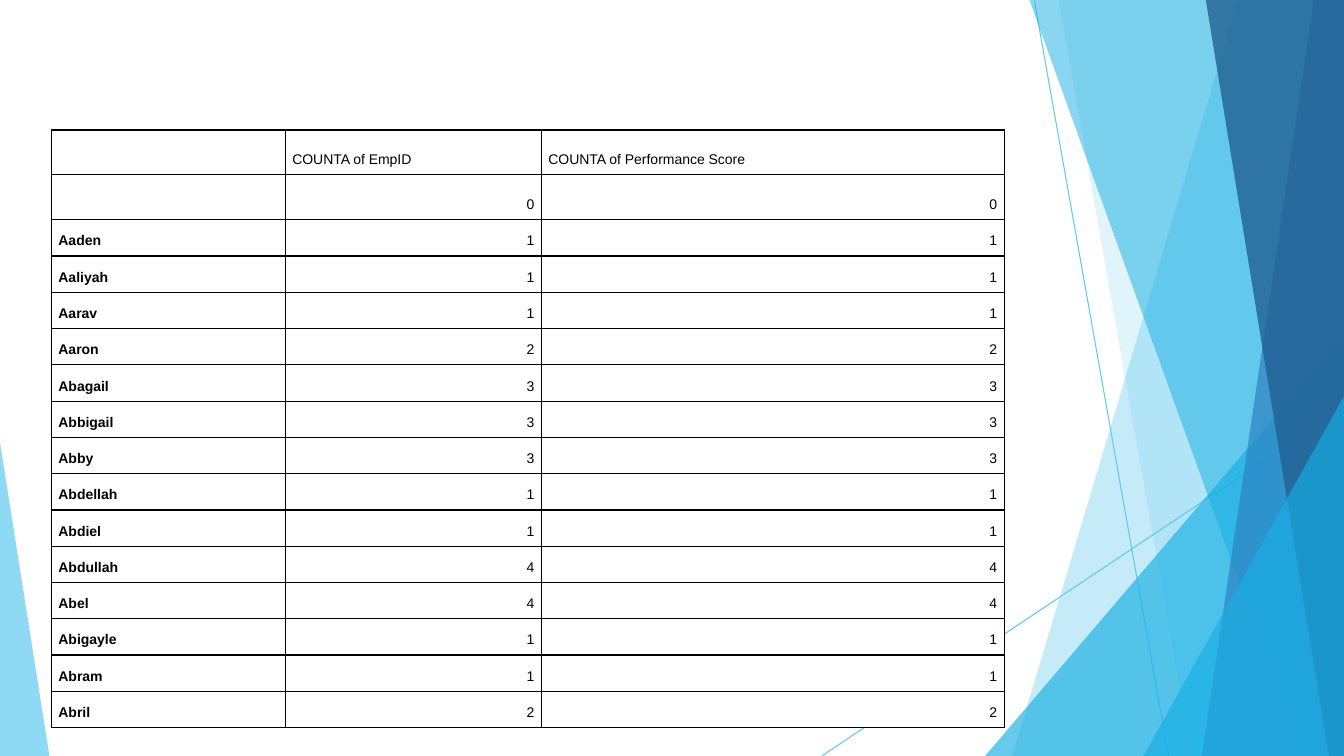
"""Build a slide with a table of name counts over faceted blue panes."""
from dataclasses import dataclass

from lxml.etree import SubElement as Sub
from pptx import Presentation
from pptx.dml.color import RGBColor
from pptx.enum.shapes import MSO_CONNECTOR as Conn
from pptx.enum.text import MSO_ANCHOR as Anchor, PP_ALIGN as Align
from pptx.oxml.ns import qn
from pptx.slide import Slide
from pptx.table import _Cell as Cell
from pptx.util import Inches, Pt

WIDE, HIGH = 13.33, 7.5
SKY, CYAN, BLUE, NAVY = "5FCAEE", "17AFE3", "2D83C3", "226192"
BLACK, WHITE = "000000", "FFFFFF"
Point = tuple[float, float]


@dataclass
class Pane:
    points: list[Point]
    color: str
    alpha: int


@dataclass
class Ray:
    start: Point
    end: Point


@dataclass
class Entry:
    name: str
    count: int


def right(*edge: Point) -> list[Point]:
    """Close an edge along the right side of the slide."""
    return [*edge, (WIDE, HIGH), (WIDE, edge[0][1])]


RAYS = [Ray((10.26, 0.01), (11.59, HIGH)), Ray((WIDE, 4.04), (8.15, HIGH))]
PANES = [
    Pane(right((12.28, 0), (10.04, HIGH)), SKY, 36),
    Pane(right((10.5, 0), (11.82, HIGH)), SKY, 20),
    Pane(right((WIDE, 3.33), (9.77, HIGH)), CYAN, 65),
    Pane(right((10.21, 0), (12.91, HIGH)), CYAN, 50),
    Pane(right((13.03, 0), (11.92, HIGH)), BLUE, 70),
    Pane(right((11.96, 0), (13.18, HIGH)), NAVY, 80),
    Pane(right((WIDE, 3.93), (11.34, HIGH)), CYAN, 65),
    Pane([(0, 4.39), (0, HIGH), (0.49, HIGH)], SKY, 70),
]
HEADS = ["", "COUNTA of EmpID", "COUNTA of Performance Score"]
ENTRIES = [
    Entry("", 0), Entry("Aaden", 1), Entry("Aaliyah", 1), Entry("Aarav", 1),
    Entry("Aaron", 2), Entry("Abagail", 3), Entry("Abbigail", 3),
    Entry("Abby", 3), Entry("Abdellah", 1), Entry("Abdiel", 1),
    Entry("Abdullah", 4), Entry("Abel", 4), Entry("Abigayle", 1),
    Entry("Abram", 1), Entry("Abril", 2),
]
COLS = [2.32, 2.54, 4.59]


def rgb(code: str) -> RGBColor:
    """Turn a hex string into a colour."""
    return RGBColor.from_string(code)


def draw_ray(slide: Slide, ray: Ray) -> None:
    """Draw a thin line without a shadow."""
    ends = [Inches(n) for n in (*ray.start, *ray.end)]
    line = slide.shapes.add_connector(Conn.STRAIGHT, *ends)
    line.line.color.rgb = rgb(SKY)
    line.line.width = Pt(0.75)
    Sub(line.element.spPr, qn("a:effectLst"))


def draw_pane(slide: Slide, pane: Pane) -> None:
    """Draw a see-through polygon."""
    first, *rest = [(Inches(x), Inches(y)) for x, y in pane.points]
    form = slide.shapes.build_freeform(*first)
    form.add_line_segments(rest, close=True)
    shape = form.convert_to_shape()
    shape.shadow.inherit = False
    shape.line.fill.background()
    shape.fill.solid()
    shape.fill.fore_color.rgb = rgb(pane.color)
    tint = shape.element.spPr.find(f".//{qn('a:srgbClr')}")
    Sub(tint, qn("a:alpha"), val=str(pane.alpha * 1000))


def frame(cell: Cell) -> None:
    """Give a cell its borders, white fill and margins."""
    props = cell._tc.get_or_add_tcPr()
    for side in "LRTB":
        edge = Sub(props, qn(f"a:ln{side}"), w=str(Pt(1)))
        Sub(Sub(edge, qn("a:solidFill")), qn("a:srgbClr"), val=BLACK)
    cell.fill.solid()
    cell.fill.fore_color.rgb = rgb(WHITE)
    cell.margin_left = cell.margin_right = Inches(0.07)
    cell.margin_top = cell.margin_bottom = Inches(0.07)
    cell.vertical_anchor = Anchor.BOTTOM


def write(cell: Cell, text: str, *, bold: bool = False,
          align: Align = Align.LEFT) -> None:
    """Write formatted text in a cell."""
    para = cell.text_frame.paragraphs[0]
    para.alignment = align
    para.line_spacing = 1.15
    run = para.add_run()
    run.text = text
    run.font.name = "Arial"
    run.font.size = Pt(10)
    run.font.bold = bold
    run.font.color.rgb = rgb(BLACK)


def draw_table(slide: Slide) -> None:
    """Draw the table of counts by name."""
    rows = [HEADS] + [[e.name, str(e.count), str(e.count)] for e in ENTRIES]
    highs = [0.36 if row[0] else 0.44 for row in rows]
    box = [Inches(n) for n in (0.51, 1.29, sum(COLS), sum(highs))]
    table = slide.shapes.add_table(len(rows), len(COLS), *box).table
    table.first_row = table.horz_banding = False
    for col, width in zip(table.columns, COLS):
        col.width = Inches(width)
    for r, row in enumerate(rows):
        table.rows[r].height = Inches(highs[r])
        for c, text in enumerate(row):
            cell = table.cell(r, c)
            frame(cell)
            if text:
                write(cell, text, bold=c == 0,
                      align=Align.RIGHT if r and c else Align.LEFT)


def main() -> None:
    """Build and save the slide."""
    deck = Presentation()
    deck.slide_width, deck.slide_height = Inches(WIDE), Inches(HIGH)
    slide = deck.slides.add_slide(deck.slide_layouts[6])
    for ray in RAYS:
        draw_ray(slide, ray)
    for pane in PANES:
        draw_pane(slide, pane)
    draw_table(slide)
    deck.save("out.pptx")


if __name__ == "__main__":
    main()
